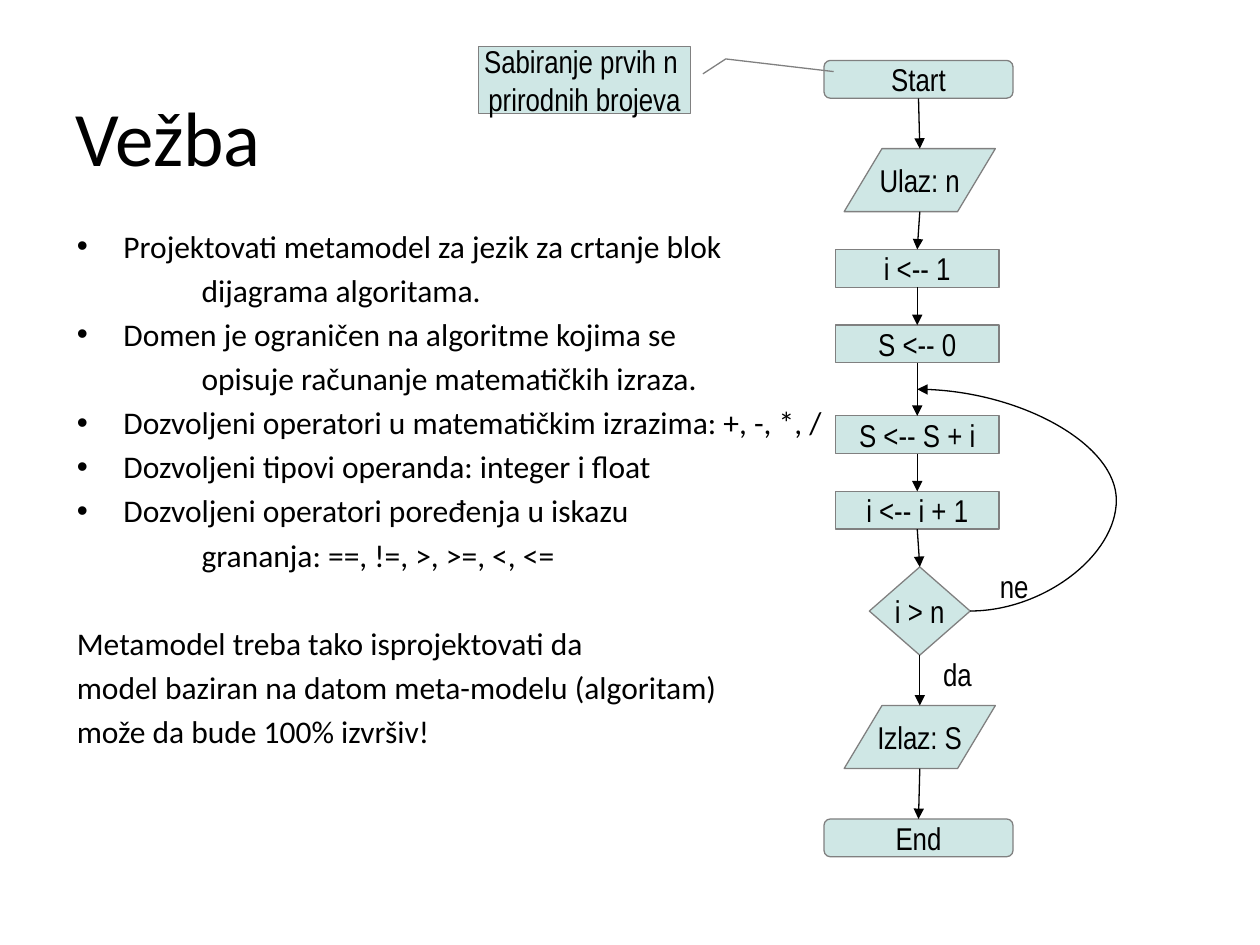
from dataclasses import dataclass
from itertools import pairwise

from lxml import etree
from pptx import Presentation
from pptx.dml.color import RGBColor
from pptx.enum.shapes import MSO_CONNECTOR, MSO_SHAPE
from pptx.enum.text import MSO_ANCHOR, MSO_AUTO_SIZE, PP_ALIGN
from pptx.oxml.ns import qn
from pptx.util import Inches, Pt

COLORS = {"fill": "CFE7E5", "outline": "808080", "ink": "000000"}
LINE_WIDTH = Pt(0.74)
DIAGRAM_FONT = "Arial Narrow"
BODY_FONT = "Calibri"


@dataclass(frozen=True)
class Node:
    text: str
    shape: MSO_SHAPE
    left: float
    top: float
    width: float
    height: float
    adjustments: tuple[float, ...] = ()

    @property
    def center(self) -> float:
        return self.left + self.width / 2

    @property
    def bottom(self) -> float:
        return self.top + self.height


@dataclass(frozen=True)
class Label:
    text: str
    left: float
    top: float
    width: float
    height: float


@dataclass(frozen=True)
class BodyLine:
    text: str
    bullet: bool = False
    margin: float = 0.01
    space_before: float | None = None


def terminal(text: str, top: float) -> Node:
    return Node(text, MSO_SHAPE.ROUNDED_RECTANGLE, 6.54, top, 1.5, 0.3, (0.167,))


def data(text: str, top: float) -> Node:
    return Node(text, MSO_SHAPE.PARALLELOGRAM, 6.7, top, 1.2, 0.5, (0.6,))


def process(text: str, top: float) -> Node:
    return Node(text, MSO_SHAPE.RECTANGLE, 6.63, top, 1.3, 0.3)


def point(text: str) -> BodyLine:
    return BodyLine(text, bullet=True, margin=0.38)


def continuation(text: str) -> BodyLine:
    return BodyLine(text, margin=1.0)


DECISION = Node("i > n", MSO_SHAPE.DIAMOND, 6.9, 4.5, 0.8, 0.7)
FLOW = [
    terminal("Start", 0.48),
    data("Ulaz: n", 1.18),
    process("i <-- 1", 1.98),
    process("S <-- 0", 2.58),
    process("S <-- S + i", 3.3),
    process("i <-- i + 1", 3.9),
    DECISION,
    data("Izlaz: S", 5.6),
    terminal("End", 6.5),
]
CALLOUT = Node("Sabiranje prvih n \nprirodnih brojeva", MSO_SHAPE.LINE_CALLOUT_2,
               3.8, 0.37, 1.68, 0.53,
               (0.409, -0.059, 0.185, -0.167, 0.375, -0.677))
LABELS = [Label("da", 7.4, 5.2, 0.4, 0.3), Label("ne", 7.7, 4.5, 0.7, 0.3)]
BODY = [
    point("Projektovati metamodel za jezik za crtanje blok "),
    continuation("dijagrama algoritama. "),
    point("Domen je ograničen na algoritme kojima se "),
    continuation("opisuje računanje matematičkih izraza."),
    point("Dozvoljeni operatori u matematičkim izrazima: +, -, *, /"),
    point("Dozvoljeni tipovi operanda: integer i float"),
    point("Dozvoljeni operatori poređenja u iskazu "),
    continuation("grananja: ==, !=, >, >=, <, <="),
    BodyLine("Metamodel treba tako isprojektovati da ", space_before=28.8),
    BodyLine("model baziran na datom meta-modelu (algoritam)"),
    BodyLine("može da bude 100% izvršiv!"),
]


def color(name: str) -> RGBColor:
    return RGBColor.from_string(COLORS[name])


def place(shape, left: float, top: float, width: float, height: float) -> None:
    shape.left, shape.top = Inches(left), Inches(top)
    shape.width, shape.height = Inches(width), Inches(height)


def style_font(font, name: str, size: float) -> None:
    font.name = name
    font.size = Pt(size)
    font.color.rgb = color("ink")


def write_centered(frame, text: str) -> None:
    frame.text = text
    frame.word_wrap = False
    frame.auto_size = MSO_AUTO_SIZE.NONE
    frame.vertical_anchor = MSO_ANCHOR.MIDDLE
    for paragraph in frame.paragraphs:
        paragraph.alignment = PP_ALIGN.CENTER
        style_font(paragraph.runs[0].font, DIAGRAM_FONT, 18)


def draw_node(slide, node: Node):
    shape = slide.shapes.add_shape(node.shape, Inches(node.left), Inches(node.top),
                                   Inches(node.width), Inches(node.height))
    for index, value in enumerate(node.adjustments):
        shape.adjustments[index] = value
    shape.shadow.inherit = False
    shape.fill.solid()
    shape.fill.fore_color.rgb = color("fill")
    shape.line.color.rgb = color("outline")
    shape.line.width = LINE_WIDTH
    write_centered(shape.text_frame, node.text)
    return shape


def draw_label(slide, label: Label) -> None:
    box = slide.shapes.add_textbox(Inches(label.left), Inches(label.top),
                                   Inches(label.width), Inches(label.height))
    write_centered(box.text_frame, label.text)


def draw_arrow(slide, kind: MSO_CONNECTOR, start: tuple[float, float],
               end: tuple[float, float]):
    arrow = slide.shapes.add_connector(kind, *map(Inches, start + end))
    arrow.line.color.rgb = color("ink")
    arrow.line.width = LINE_WIDTH
    properties = arrow._element.spPr
    etree.SubElement(properties.find(qn("a:ln")), qn("a:tailEnd"), type="triangle")
    etree.SubElement(properties, qn("a:effectLst"))
    return arrow


def draw_loop(slide) -> None:
    start = (DECISION.left + DECISION.width, DECISION.top + DECISION.height / 2)
    loop = draw_arrow(slide, MSO_CONNECTOR.CURVE, start, (7.28, 3.09))
    geometry = loop._element.spPr.find(qn("a:prstGeom"))
    guides = geometry.find(qn("a:avLst"))
    etree.SubElement(guides, qn("a:gd"), name="adj1", fmla="val -276200")


def write_title(title) -> None:
    place(title, 0.5, 0.6, 9, 0.95)
    title.text_frame.text = "Vežba"
    title.text_frame.vertical_anchor = MSO_ANCHOR.MIDDLE
    paragraph = title.text_frame.paragraphs[0]
    paragraph.alignment = PP_ALIGN.LEFT
    style_font(paragraph.runs[0].font, BODY_FONT, 44)


def write_body(body) -> None:
    place(body, 0.5, 1.75, 9, 5.7)
    frame = body.text_frame
    frame.text = "\n".join(line.text for line in BODY)
    frame.auto_size = MSO_AUTO_SIZE.NONE
    for paragraph, line in zip(frame.paragraphs, BODY):
        style_font(paragraph.runs[0].font, BODY_FONT, 18)
        if line.space_before is not None:
            paragraph.space_before = Pt(line.space_before)
        properties = paragraph._p.get_or_add_pPr()
        properties.set("marL", str(Inches(line.margin)))
        properties.set("indent", str(Inches(-0.37 if line.bullet else 0)))
        if line.bullet:
            etree.SubElement(properties, qn("a:buChar"), char="•")
        else:
            etree.SubElement(properties, qn("a:buNone"))


def main() -> None:
    presentation = Presentation()
    presentation.slide_width, presentation.slide_height = Inches(10), Inches(7.5)
    slide = presentation.slides.add_slide(presentation.slide_layouts[1])
    write_title(slide.shapes.title)
    write_body(slide.placeholders[1])
    for node in FLOW:
        draw_node(slide, node)
    for upper, lower in pairwise(FLOW):
        draw_arrow(slide, MSO_CONNECTOR.STRAIGHT,
                   (upper.center, upper.bottom), (lower.center, lower.top))
    draw_loop(slide)
    callout = draw_node(slide, CALLOUT)
    callout._element.spPr.find(qn("a:xfrm")).set("flipH", "1")
    for label in LABELS:
        draw_label(slide, label)
    presentation.save("out.pptx")


main()
